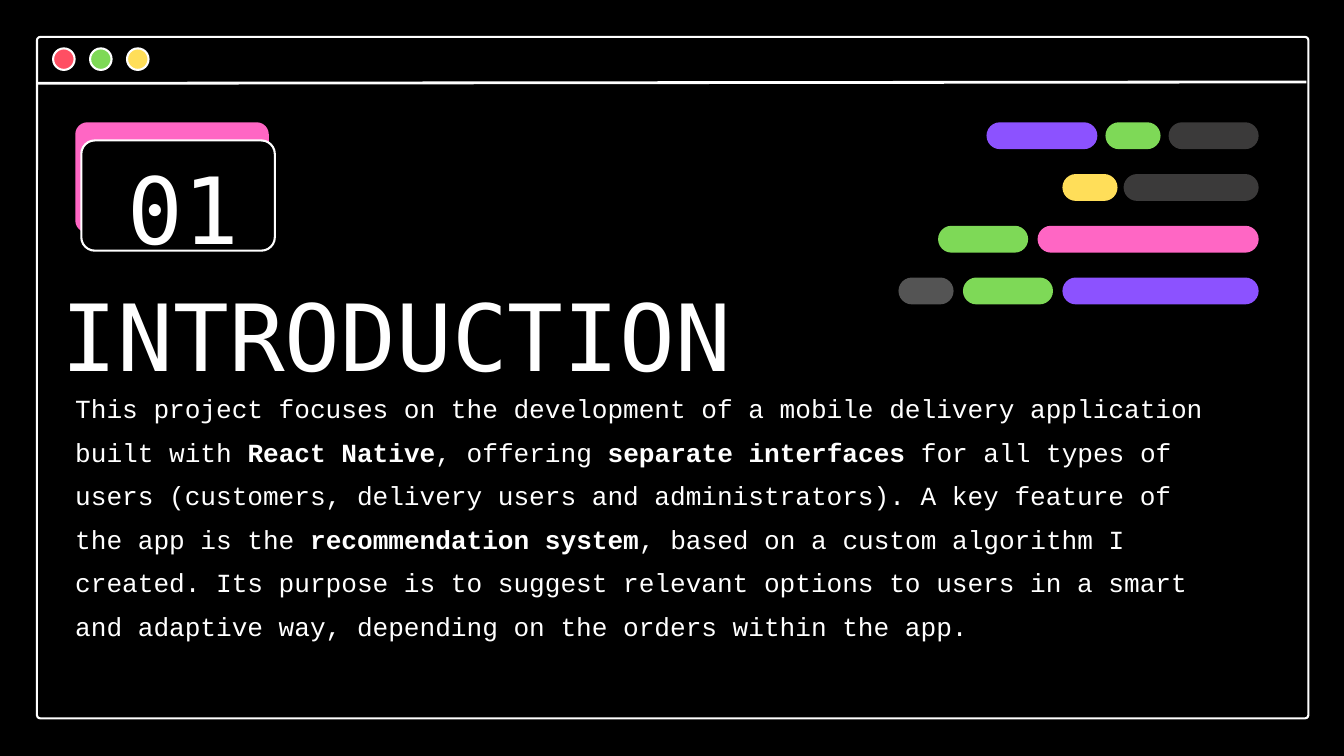
from lxml.etree import SubElement
from pptx import Presentation
from pptx.dml.color import RGBColor
from pptx.enum.shapes import MSO_CONNECTOR, MSO_SHAPE
from pptx.enum.text import MSO_ANCHOR, MSO_AUTO_SIZE, PP_ALIGN
from pptx.oxml.ns import qn
from pptx.util import Inches, Pt

COLUMNS, ROWS = 20, 11.25
COLORS = {
    "black": "000000", "white": "FFFFFF", "red": "FF4F63", "green": "7ED957",
    "yellow": "FFDE59", "pink": "FF66C4", "purple": "8C52FF",
    "charcoal": "3B3A3A", "gray": "545454",
}
DISPLAY_FONT, BODY_FONT = "DejaVu Sans Mono", "Courier New"
DISPLAY_SIZE, BODY_SIZE = 99.2, 28

BODY = [
    ("This project focuses on the development of a mobile delivery application built with ", False),
    ("React Native", True),
    (", offering ", False),
    ("separate interfaces", True),
    (" for all types of users (customers, delivery users and administrators). "
     "A key feature of the app is the ", False),
    ("recommendation system", True),
    (", based on a custom algorithm I created. Its purpose is to suggest relevant options to users "
     "in a smart and adaptive way, depending on the orders within the app.", False),
]

# Each row of code pills: gap, then (width, color) from right to left.
SHORT, MEDIUM = 0.82, 1.34
PILL_ROWS = [
    (0.12, [(MEDIUM, "charcoal"), (SHORT, "green"), (1.65, "purple")]),
    (0.09, [(2.01, "charcoal"), (SHORT, "yellow")]),
    (0.14, [(3.29, "pink"), (MEDIUM, "green")]),
    (0.14, [(2.92, "purple"), (MEDIUM, "green"), (SHORT, "gray")]),
]
PILL_RIGHT, PILL_TOP, PILL_HEIGHT, PILL_PITCH = 18.73, 1.82, 0.4, 0.77


class SlideBuilder:
    """Draws on a slide divided into COLUMNS by ROWS square cells."""

    def __init__(self, presentation):
        self.column = presentation.slide_width / COLUMNS
        self.row = presentation.slide_height / ROWS
        self.slide = presentation.slides.add_slide(presentation.slide_layouts[5])
        background = self.slide.background.fill
        background.solid()
        background.fore_color.rgb = self.color("black")

    def color(self, name):
        return RGBColor.from_string(COLORS[name])

    def cells(self, left, top, width, height):
        return (round(left * self.column), round(top * self.row),
                round(width * self.column), round(height * self.row))

    def block(self, kind, place, fill=None, outline=None, radius=None):
        shape = self.slide.shapes.add_shape(kind, *self.cells(*place))
        shape.shadow.inherit = False
        if radius is not None:
            shape.adjustments[0] = radius / min(place[2:])
        if fill:
            shape.fill.solid()
            shape.fill.fore_color.rgb = self.color(fill)
        else:
            shape.fill.background()
        if outline:
            shape.line.color.rgb = self.color(outline)
            shape.line.width = Pt(2.25)
        else:
            shape.line.fill.background()

    def rule(self, left, top, right, bottom):
        connector = self.slide.shapes.add_connector(
            MSO_CONNECTOR.STRAIGHT, *self.cells(left, top, right, bottom))
        connector.line.color.rgb = self.color("white")
        connector.line.width = Pt(3)
        SubElement(connector._element.spPr, qn("a:effectLst"))

    def set_runs(self, shape, runs, font, size, spacing):
        """Fill a text shape with one left-aligned paragraph of (text, bold) runs."""
        frame = shape.text_frame
        frame.word_wrap = True
        frame.auto_size = MSO_AUTO_SIZE.NONE
        frame.vertical_anchor = MSO_ANCHOR.TOP
        frame.margin_left = frame.margin_right = frame.margin_top = frame.margin_bottom = 0
        paragraph = frame.paragraphs[0]
        paragraph.alignment = PP_ALIGN.LEFT
        paragraph.line_spacing = spacing
        paragraph.space_before = Pt(0)
        for text, bold in runs:
            run = paragraph.add_run()
            run.text = text
            run.font.name = font
            run.font.size = Pt(size)
            run.font.bold = bold
            run.font.color.rgb = self.color("white")

    def title(self, text, place):
        title = self.slide.shapes.title
        title.left, title.top, title.width, title.height = self.cells(*place)
        self.set_runs(title, [(text, False)], DISPLAY_FONT, DISPLAY_SIZE, 1.0)

    def text(self, runs, place, font, size, spacing):
        box = self.slide.shapes.add_textbox(*self.cells(*place))
        self.set_runs(box, runs, font, size, spacing)


def draw_window(builder):
    builder.block(MSO_SHAPE.ROUNDED_RECTANGLE, (0.55, 0.55, 18.92, 10.14),
                  outline="white", radius=0.05)
    builder.rule(0.55, 1.24, 19.44, 1.22)
    for index, color in enumerate(["red", "green", "yellow"]):
        builder.block(MSO_SHAPE.OVAL, (0.79 + 0.55 * index, 0.72, 0.32, 0.32),
                      fill=color, outline="white")


def draw_section_number(builder):
    builder.block(MSO_SHAPE.ROUNDED_RECTANGLE, (1.12, 1.82, 2.88, 1.64),
                  fill="pink", radius=0.18)
    builder.block(MSO_SHAPE.ROUNDED_RECTANGLE, (1.21, 2.09, 2.88, 1.64),
                  fill="black", outline="white", radius=0.2)
    builder.text([("01", False)], (1.9, 2.26, 1.9, 1.6), DISPLAY_FONT, DISPLAY_SIZE, 1.0)


def draw_code_pills(builder):
    for index, (gap, pills) in enumerate(PILL_ROWS):
        right = PILL_RIGHT
        for width, color in pills:
            place = (right - width, PILL_TOP + PILL_PITCH * index, width, PILL_HEIGHT)
            builder.block(MSO_SHAPE.ROUNDED_RECTANGLE, place,
                          fill=color, radius=PILL_HEIGHT / 2)
            right -= width + gap


def main():
    presentation = Presentation()
    presentation.slide_width = Inches(COLUMNS)
    presentation.slide_height = Inches(ROWS)
    builder = SlideBuilder(presentation)
    draw_window(builder)
    builder.title("INTRODUCTION", (0.92, 4.15, 11.29, 1.6))
    draw_section_number(builder)
    builder.text(BODY, (1.12, 5.66, 17.16, 4.18), BODY_FONT, BODY_SIZE, Pt(46.6))
    draw_code_pills(builder)
    presentation.save("out.pptx")


if __name__ == "__main__":
    main()
